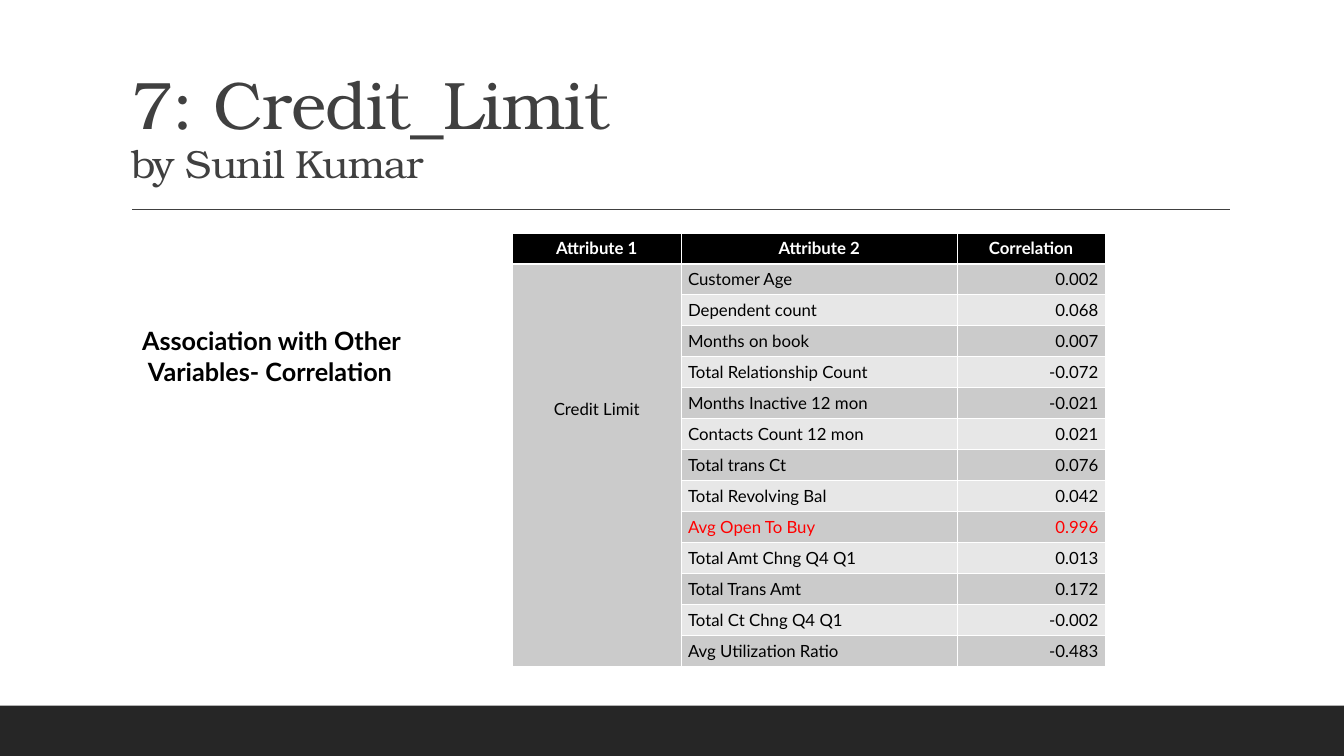
from lxml import etree
from pptx import Presentation, util as u
from pptx.dml.color import RGBColor
from pptx.enum import shapes, text
from pptx.oxml import ns

COLOURS = {
    "bar": "262626", "title": "404040", "black": "000000", "white": "FFFFFF",
    "odd": "CBCBCB", "even": "E7E7E7", "highlight": "FF0000",
}
LEFT, CENTER, RIGHT = text.PP_ALIGN.LEFT, text.PP_ALIGN.CENTER, text.PP_ALIGN.RIGHT
HEADERS = ["Attribute 1", "Attribute 2", "Correlation"]
CORRELATIONS = [
    ("Customer Age", "0.002"),
    ("Dependent count", "0.068"),
    ("Months on book", "0.007"),
    ("Total Relationship Count", "-0.072"),
    ("Months Inactive 12 mon", "-0.021"),
    ("Contacts Count 12 mon", "0.021"),
    ("Total trans Ct", "0.076"),
    ("Total Revolving Bal", "0.042"),
    ("Avg Open To Buy", "0.996"),
    ("Total Amt Chng Q4 Q1", "0.013"),
    ("Total Trans Amt", "0.172"),
    ("Total Ct Chng Q4 Q1", "-0.002"),
    ("Avg Utilization Ratio", "-0.483"),
]


def colour(name):
    """Return the named colour."""
    return RGBColor.from_string(COLOURS[name])


class SlideBuilder:
    """Hold the fonts and the current slide, and add elements to it."""

    heading_font = "TeX Gyre Bonum"
    body_font = "Lato"

    def __init__(self, slide):
        """Keep the slide to build on."""
        self.slide = slide

    def run(self, paragraph, words, size, shade, bold=False, font=None):
        """Add one formatted run to a paragraph."""
        run = paragraph.add_run()
        run.text = words
        run.font.name = font or self.body_font
        run.font.size = u.Pt(size)
        run.font.bold = bold
        run.font.color.rgb = colour(shade)
        return run

    def bar(self, left, top, width, height):
        """Add a plain filled rectangle."""
        shape = self.slide.shapes.add_shape(
            shapes.MSO_SHAPE.RECTANGLE, *map(u.Cm, (left, top, width, height)))
        shape.shadow.inherit = False
        shape.fill.solid()
        shape.fill.fore_color.rgb = colour("bar")
        shape.line.fill.background()

    def rule(self, left, right, top):
        """Add a thin horizontal line."""
        line = self.slide.shapes.add_connector(
            shapes.MSO_CONNECTOR.STRAIGHT, *map(u.Cm, (left, top, right, top)))
        line.line.color.rgb = colour("title")
        line.line.width = u.Pt(1)
        etree.SubElement(line._element.spPr, ns.qn("a:effectLst"))

    def title(self, heading, author, left, top, width, height):
        """Place the title placeholder and write its two lines."""
        shape = self.slide.shapes.title
        shape.left, shape.top, shape.width, shape.height = map(u.Cm, (left, top, width, height))
        frame = shape.text_frame
        frame.auto_size = text.MSO_AUTO_SIZE.NONE
        frame.vertical_anchor = text.MSO_ANCHOR.BOTTOM
        paragraph = frame.paragraphs[0]
        paragraph.alignment = LEFT
        paragraph.line_spacing = 0.9
        first = self.run(paragraph, heading, 48, "title", font=self.heading_font)
        paragraph.add_line_break()
        second = self.run(paragraph, author, 28, "title", font=self.heading_font)
        for run in (first, second):
            run.font._element.set("spc", "-50")

    def caption(self, lines, left, top, width, height):
        """Add a bold text box from (words, indent) lines."""
        box = self.slide.shapes.add_textbox(*map(u.Cm, (left, top, width, height)))
        frame = box.text_frame
        frame.word_wrap = True
        for index, (words, indent) in enumerate(lines):
            paragraph = frame.add_paragraph() if index else frame.paragraphs[0]
            paragraph._p.get_or_add_pPr().set("marL", str(u.Cm(indent)))
            self.run(paragraph, words, 18, "black", bold=True)

    def cell(self, cell, words, fill, shade, alignment, bold=False):
        """Fill, border and write one table cell."""
        cell.fill.solid()
        cell.fill.fore_color.rgb = colour(fill)
        cell.vertical_anchor = text.MSO_ANCHOR.MIDDLE
        cell.margin_left = cell.margin_right = u.Cm(0.17)
        cell.margin_top = cell.margin_bottom = u.Cm(0.08)
        properties = cell._tc.get_or_add_tcPr()
        for index, side in enumerate(("lnL", "lnR", "lnT", "lnB")):
            border = etree.Element(ns.qn(f"a:{side}"), w=str(u.Pt(1)))
            solid = etree.SubElement(border, ns.qn("a:solidFill"))
            etree.SubElement(solid, ns.qn("a:srgbClr"), val=COLOURS["white"])
            properties.insert(index, border)
        paragraph = cell.text_frame.paragraphs[0]
        paragraph.alignment = alignment
        if words:
            self.run(paragraph, words, 12, shade, bold)
        else:
            paragraph.font.size = u.Pt(12)

    def table(self, headers, subject, rows, left, top, widths, row_height):
        """Add the table with its first column merged under the header."""
        count = len(rows) + 1
        table = self.slide.shapes.add_table(
            count, len(headers), u.Cm(left), u.Cm(top),
            u.Cm(sum(widths)), u.Cm(row_height * count)).table
        for column, width in zip(table.columns, widths):
            column.width = u.Cm(width)
        for row in table.rows:
            row.height = u.Cm(row_height)
        for index, words in enumerate(headers):
            self.cell(table.cell(0, index), words, "black", "white", CENTER, bold=True)
        for index, (attribute, value) in enumerate(rows, 1):
            fill = "odd" if index % 2 else "even"
            shade = "highlight" if abs(float(value)) > 0.9 else "black"
            self.cell(table.cell(index, 0), subject if index == 1 else "", "odd", "black", CENTER)
            self.cell(table.cell(index, 1), attribute, fill, shade, LEFT)
            self.cell(table.cell(index, 2), value, fill, shade, RIGHT)
        merged = table.cell(1, 0)
        merged.merge(table.cell(count - 1, 0))
        merged.vertical_anchor = text.MSO_ANCHOR.TOP
        merged.margin_top = u.Cm(3.4)


def main():
    """Build and save the presentation."""
    presentation = Presentation()
    presentation.slide_width, presentation.slide_height = u.Cm(33.87), u.Cm(19.05)
    builder = SlideBuilder(presentation.slides.add_slide(presentation.slide_layouts[5]))
    builder.bar(0, 17.78, 33.87, 1.27)
    builder.rule(3.33, 31, 5.28)
    builder.title("7: Credit_Limit", "by Sunil Kumar", 3.05, 0.79, 27.94, 4.04)
    builder.table(HEADERS, "Credit Limit", CORRELATIONS, 12.91, 5.87, (4.26, 6.95, 3.73), 0.78)
    builder.caption([("Association with Other", 0), ("Variables- Correlation", 0.15)],
                    3.33, 8.08, 7.52, 2.57)
    presentation.save("out.pptx")


if __name__ == "__main__":
    main()
